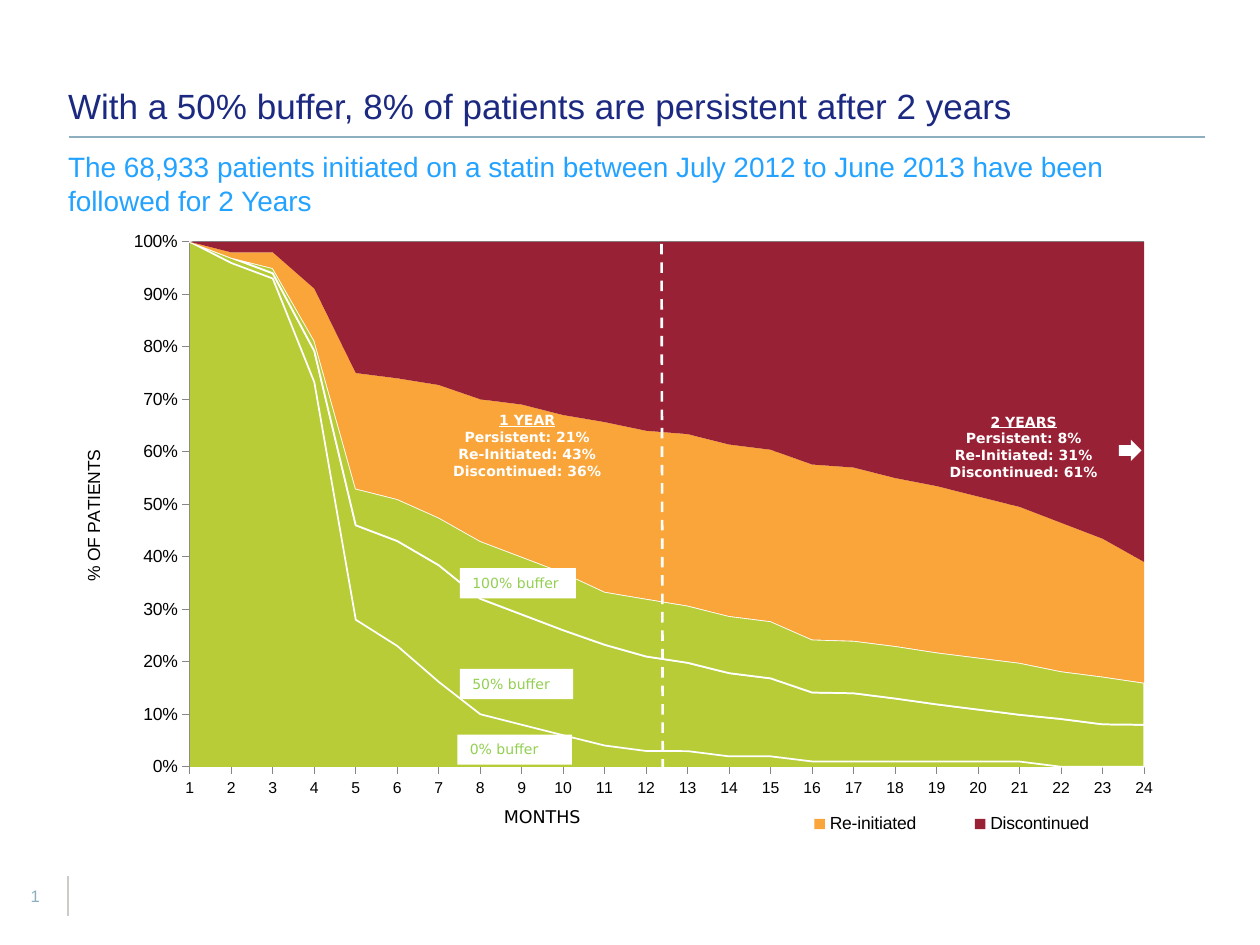
from dataclasses import dataclass

from lxml import etree
from pptx import Presentation
from pptx.chart.data import CategoryChartData
from pptx.dml.color import RGBColor
from pptx.enum.chart import XL_CHART_TYPE, XL_LEGEND_POSITION, XL_TICK_MARK
from pptx.enum.dml import MSO_LINE
from pptx.enum.shapes import MSO_CONNECTOR, MSO_SHAPE
from pptx.enum.text import MSO_ANCHOR, MSO_AUTO_SIZE, PP_ALIGN
from pptx.oxml.ns import qn
from pptx.util import Inches, Pt

LEFT, CENTER = PP_ALIGN.LEFT, PP_ALIGN.CENTER
TOP, BOTTOM = MSO_ANCHOR.TOP, MSO_ANCHOR.BOTTOM
SANS, WIDE = "Arial", "DejaVu Sans"
COLORS = {
    "title": "1C2980", "subtitle": "23A3FF", "rule": "8EAFBF", "divider": "CACCC5",
    "persistent": "B7CC37", "reinitiated": "FAA53A", "discontinued": "992135",
    "label": "92D050", "axis": "868686", "white": "FFFFFF", "black": "000000",
}


@dataclass
class Series:
    name: str
    color: str
    values: list[int]
    outlined: bool = False


@dataclass
class Summary:
    heading: str
    lines: list[str]
    left: float
    top: float


@dataclass
class BufferLabel:
    text: str
    left: float
    top: float
    width: float


SERIES = [
    Series("Series 1", "persistent", [100, 95, 93, 74, 28, 23, 16, 10, 8, 6, 4, 3,
                                      3, 2, 2, 1, 1, 1, 1, 1, 1, 0, 0, 0]),
    Series("Series 2", "persistent", [0, 1, 1, 6, 18, 20, 22, 22, 21, 20, 19, 18,
                                      17, 16, 15, 13, 13, 12, 11, 10, 9, 9, 8, 8], True),
    Series("Series 3", "persistent", [0, 0, 1, 2, 7, 8, 9, 11, 11, 11, 10, 11,
                                      11, 11, 11, 10, 10, 10, 10, 10, 10, 9, 9, 8], True),
    Series("Re-initiated", "reinitiated", [0, 1, 3, 10, 22, 23, 25, 27, 29, 30, 32, 32,
                                           33, 33, 33, 33, 33, 32, 32, 31, 30, 28, 26, 23]),
    Series("Discontinued", "discontinued", [0, 2, 2, 9, 25, 26, 27, 30, 31, 33, 34, 36,
                                            37, 39, 40, 42, 43, 45, 47, 49, 51, 53, 56, 61]),
]
SUMMARIES = [
    Summary("1 YEAR", ["Persistent: 21%", "Re-Initiated: 43%", "Discontinued: 36%"], 3.26, 3.22),
    Summary("2 YEARS", ["Persistent: 8%", "Re-Initiated: 31%", "Discontinued: 61%"], 7.2, 3.23),
]
BUFFER_LABELS = [
    BufferLabel("0% buffer", 3.63, 5.83, 0.91),
    BufferLabel("50% buffer", 3.65, 5.31, 0.9),
    BufferLabel("100% buffer", 3.65, 4.51, 0.92),
]


def rgb(name: str) -> RGBColor:
    return RGBColor.from_string(COLORS[name])


def style_font(font, size: float, color: str = "black", name: str = SANS, bold: bool = False) -> None:
    font.size, font.name, font.bold = Pt(size), name, bold
    font.color.rgb = rgb(color)


def write(shape, *lines: str, size: float, color: str, font: str = SANS, bold: bool = False,
          align=LEFT, anchor=TOP, inset: bool = True, wrap: bool = True,
          spacing: float = 1.0, underline_first: bool = False) -> None:
    frame = shape.text_frame
    frame.auto_size = MSO_AUTO_SIZE.NONE
    frame.word_wrap, frame.vertical_anchor = wrap, anchor
    frame.margin_left = frame.margin_right = Inches(0.1 if inset else 0)
    frame.margin_top = frame.margin_bottom = Inches(0.05 if inset else 0)
    for index, line in enumerate(lines):
        paragraph = frame.add_paragraph() if index else frame.paragraphs[0]
        paragraph.alignment, paragraph.line_spacing = align, spacing
        paragraph.space_before = Pt(0)
        run = paragraph.add_run()
        run.text = line
        style_font(run.font, size, color, font, bold)
        if underline_first and index == 0:
            run.font.underline = True


def place(shape, left: float, top: float, width: float, height: float) -> None:
    shape.left, shape.top = Inches(left), Inches(top)
    shape.width, shape.height = Inches(width), Inches(height)


def add_text_box(slide, left: float, top: float, width: float, height: float):
    return slide.shapes.add_textbox(Inches(left), Inches(top), Inches(width), Inches(height))


def add_white_shape(slide, kind, left: float, top: float, width: float, height: float):
    shape = slide.shapes.add_shape(kind, Inches(left), Inches(top), Inches(width), Inches(height))
    shape.shadow.inherit = False
    shape.fill.solid()
    shape.fill.fore_color.rgb = rgb("white")
    shape.line.fill.background()
    return shape


def add_line(slide, x1: float, y1: float, x2: float, y2: float, color: str, width: float, dash=None) -> None:
    line = slide.shapes.add_connector(MSO_CONNECTOR.STRAIGHT, Inches(x1), Inches(y1), Inches(x2), Inches(y2))
    line.line.color.rgb, line.line.width = rgb(color), Pt(width)
    if dash:
        line.line.dash_style = dash
    etree.SubElement(line._element.spPr, qn("a:effectLst"))


def set_layout(element, after: str, inner: bool = False, **bounds: float) -> None:
    """Fix a chart part's position, in fractions of the chart."""
    for existing in element.findall(qn("c:layout")):
        element.remove(existing)
    layout = etree.Element(qn("c:layout"))
    manual = etree.SubElement(layout, qn("c:manualLayout"))
    settings = {"layoutTarget": "inner"} if inner else {}
    settings |= {"xMode": "edge", "yMode": "edge"} | bounds
    for tag, value in settings.items():
        etree.SubElement(manual, qn("c:" + tag)).set("val", str(value))
    previous = element.findall(qn(after)) if after else []
    if previous:
        previous[-1].addnext(layout)
    else:
        element.insert(0, layout)


def style_axis(axis, size: float) -> None:
    axis.major_tick_mark = XL_TICK_MARK.CROSS
    axis.format.line.color.rgb = rgb("axis")
    style_font(axis.tick_labels.font, size)


def add_persistence_chart(slide) -> None:
    data = CategoryChartData()
    data.categories = [str(month) for month in range(1, 25)]
    for series in SERIES:
        data.add_series(series.name, series.values)
    chart = slide.shapes.add_chart(XL_CHART_TYPE.AREA_STACKED_100, Inches(0.45), Inches(1.75),
                                   Inches(8.88), Inches(4.99), data).chart
    chart.has_title = False
    style_font(chart.font, 10)
    for drawn, series in zip(chart.plots[0].series, SERIES):
        drawn.format.fill.solid()
        drawn.format.fill.fore_color.rgb = rgb(series.color)
        if series.outlined:
            drawn.format.line.color.rgb, drawn.format.line.width = rgb("white"), Pt(1)
        else:
            drawn.format.line.fill.background()

    # Axes
    months, share = chart.category_axis, chart.value_axis
    style_axis(months, 9)
    style_axis(share, 10)
    share.minimum_scale, share.maximum_scale, share.major_unit = 0, 1, 0.1
    share.tick_labels.number_format, share.tick_labels.number_format_is_linked = "0%", False
    share.has_major_gridlines = True
    share.major_gridlines.format.line.color.rgb = rgb("axis")
    share.axis_title.text_frame.text = "% OF PATIENTS"
    style_font(share.axis_title.text_frame.paragraphs[0].runs[0].font, 10)
    share._element.find(qn("c:crossBetween")).set("val", "midCat")
    set_layout(share.axis_title._element, "c:tx", x=0.02, y=0.36)
    plot_area = chart._chartSpace.chart.plotArea
    set_layout(plot_area, "", inner=True, x=0.119, y=0.034, w=0.853, h=0.835)

    # Legend names only the two series outside the persistent area
    chart.has_legend = True
    legend = chart.legend
    legend.position, legend.include_in_layout = XL_LEGEND_POSITION.BOTTOM, False
    style_font(legend.font, 10)
    position = legend._element.find(qn("c:legendPos"))
    for index in (2, 1, 0):
        entry = etree.Element(qn("c:legendEntry"))
        etree.SubElement(entry, qn("c:idx")).set("val", str(index))
        etree.SubElement(entry, qn("c:delete")).set("val", "1")
        position.addnext(entry)
    set_layout(legend._element, "c:legendEntry", x=0.63, y=0.93, w=0.34, h=0.06)


def main() -> None:
    deck = Presentation()
    deck.slide_width, deck.slide_height = Inches(10), Inches(7.5)
    slide = deck.slides.add_slide(deck.slide_layouts[1])

    # Page number and rules
    write(add_text_box(slide, 0.16, 7.03, 0.24, 0.16), "1", size=9.5, color="rule", align=CENTER, inset=False)
    add_line(slide, 0.54, 6.95, 0.54, 7.27, "divider", 0.75)
    add_line(slide, 0.55, 1.09, 9.56, 1.09, "rule", 1.25)

    # Title and subtitle
    title, subtitle = slide.shapes.title, slide.placeholders[1]
    place(title, 0.54, 0.08, 9, 0.93)
    write(title, "With a 50% buffer, 8% of patients are persistent after 2 years",
          size=20, color="title", anchor=BOTTOM, inset=False, spacing=0.9)
    place(subtitle, 0.54, 1.19, 9, 0.39)
    write(subtitle, "The 68,933 patients initiated on a statin between July 2012 to June 2013 "
          "have been followed for 2 Years", size=16, color="subtitle", inset=False)
    properties = subtitle.text_frame.paragraphs[0]._p.get_or_add_pPr()
    properties.set("marL", "0")
    properties.set("indent", "0")
    etree.SubElement(properties, qn("a:buNone"))

    add_persistence_chart(slide)

    # Year markers and summaries
    add_line(slide, 5.25, 1.79, 5.26, 6.1, "white", 1.5, MSO_LINE.DASH)
    for summary in SUMMARIES:
        write(add_text_box(slide, summary.left, summary.top, 1.85, 0.64), summary.heading, *summary.lines,
              size=8, color="white", font=WIDE, bold=True, align=CENTER, underline_first=True)
    add_white_shape(slide, MSO_SHAPE.RIGHT_ARROW, 8.88, 3.49, 0.18, 0.17)

    # Buffer labels and month caption
    for label in BUFFER_LABELS:
        box = add_white_shape(slide, MSO_SHAPE.RECTANGLE, label.left, label.top, label.width, 0.24)
        write(box, label.text, size=8, color="label", font=WIDE)
    write(add_text_box(slide, 3.9, 6.35, 0.82, 0.27), "MONTHS", size=10, color="black", font=WIDE, wrap=False)

    deck.save("out.pptx")


if __name__ == "__main__":
    main()
